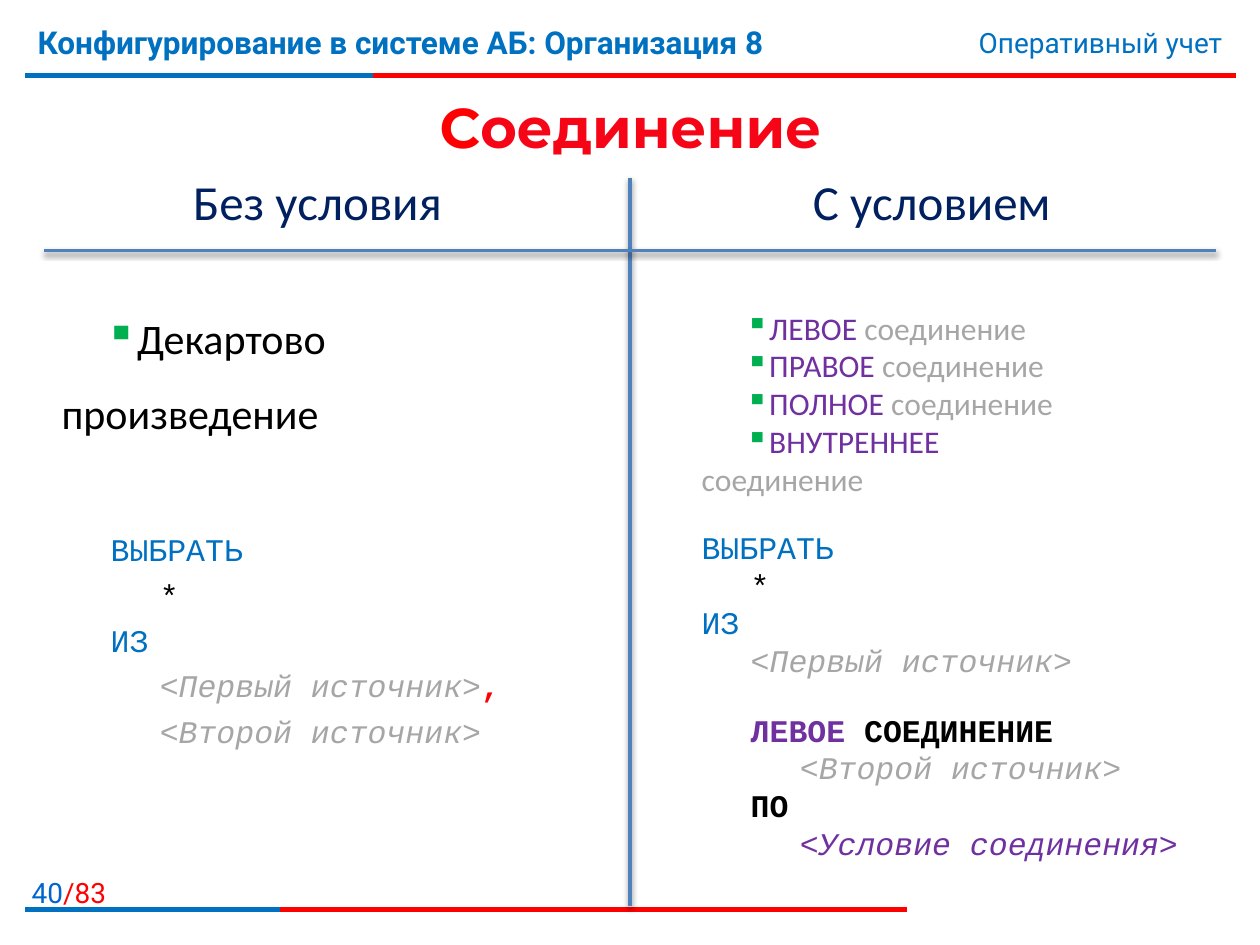
from lxml import etree
from pptx import Presentation
from pptx.dml.color import RGBColor
from pptx.enum.shapes import MSO_CONNECTOR
from pptx.enum.text import MSO_ANCHOR, MSO_AUTO_SIZE, PP_ALIGN
from pptx.oxml.ns import qn
from pptx.util import Inches, Pt

STRAIGHT = MSO_CONNECTOR.STRAIGHT
MIDDLE = MSO_ANCHOR.MIDDLE
GROW, FIXED = MSO_AUTO_SIZE.SHAPE_TO_FIT_TEXT, MSO_AUTO_SIZE.NONE
LEFT, CENTER, RIGHT = PP_ALIGN.LEFT, PP_ALIGN.CENTER, PP_ALIGN.RIGHT
TITLE_ONLY = 5

THEME = {
    "blue": "0070C0", "page": "0066CC", "red": "FF0000", "title": "F50516",
    "navy": "002060", "purple": "7030A0", "gray": "A6A6A6", "black": "000000",
    "green": "00B050", "divider": "4F81BD",
    "brand": ("Roboto", 18), "small": ("Roboto", 16), "heading": ("Montserrat", 32),
    "column": ("Calibri", 28), "list": ("Calibri", 18), "lead": ("Calibri", 24),
    "code": ("Courier New", 18),
}
CODE_STEP = 0.39
BULLET_INDENT = 0.35

TITLE = [{"runs": [("С", "red", "b"), ("оединение", "title", "b")]}]
JOIN_TYPES = ["ЛЕВОЕ", "ПРАВОЕ", "ПОЛНОЕ", "ВНУТРЕННЕЕ"]
CROSS_JOIN = [
    (0, [("ВЫБРАТЬ", "blue", "")]),
    (1, [("*", "black", "")]),
    (0, [("ИЗ", "blue", "")]),
    (1, [("<Первый источник>", "gray", "i"), (",", "red", "b")]),
    (1, [("<Второй источник>", "gray", "i")]),
]
LEFT_JOIN = [
    (0, [("ВЫБРАТЬ", "blue", "")]),
    (1, [("*", "black", "")]),
    (0, [("ИЗ", "blue", "")]),
    (1, [("<Первый источник>", "gray", "i")]),
    (1, [("ЛЕВОЕ", "purple", "b"), (" СОЕДИНЕНИЕ", "black", "b")], 18),
    (2, [("<Второй источник>", "gray", "i")]),
    (1, [("ПО", "black", "b")]),
    (2, [("<Условие соединения>", "purple", "i")]),
]


def line_of(text, color, style=""):
    return [{"runs": [(text, color, style)]}]


def code(rows, spacing=1.0):
    return [{"runs": runs, "left": level * CODE_STEP, "spacing": spacing,
             "before": before[0] if before else 0}
            for level, runs, *before in rows]


JOIN_LIST = [{"runs": [(f"{name} ", "purple", ""), ("соединение", "gray", "")],
              "bullet": True} for name in JOIN_TYPES]
PRODUCT = [{"runs": [("Декартово произведение", "black", "")],
            "bullet": True, "spacing": 1.5}]

TEXTS = [
    ((-0.1, 6.9, 1.04, 0.32), "small", RIGHT, FIXED, True,
     [{"runs": [("40", "page", ""), ("/83", "red", "")]}]),
    ((0.2, 0.13, 7.4, 0.62), "brand", LEFT, FIXED, True,
     line_of("Конфигурирование в системе АБ: Организация 8", "blue", "b")),
    ((5.94, 0.15, 3.86, 0.37), "small", RIGHT, GROW, True,
     line_of("Оперативный учет", "blue")),
    ((1.42, 1.31, 2.2, 0.57), "column", CENTER, GROW, False,
     line_of("Без условия", "navy")),
    ((6.34, 1.31, 2.11, 0.57), "column", CENTER, GROW, False,
     line_of("С условием", "navy")),
    ((5.47, 2.4, 3.28, 1.31), "list", LEFT, GROW, False, JOIN_LIST),
    ((0.39, 2.23, 4.21, 0.64), "lead", LEFT, GROW, False, PRODUCT),
    ((0.78, 4.1, 3.67, 1.9), "code", LEFT, GROW, True, code(CROSS_JOIN, 1.2)),
    ((5.47, 4.14, 4.06, 2.78), "code", LEFT, GROW, True, code(LEFT_JOIN)),
]
LINES = [
    ((0.2, 0.6, 9.81, 0.6), "red", 3, False),
    ((0.2, 0.6, 2.96, 0.6), "blue", 3, False),
    ((0.2, 7.22, 7.2, 7.22), "red", 3, False),
    ((0.2, 7.22, 2.22, 7.22), "blue", 3, False),
    ((5, 1.41, 5, 7.19), "divider", 2, True),
    ((0.35, 1.99, 9.65, 1.99), "divider", 2, True),
]


def apply_format(target, values):
    for name, value in values.items():
        setattr(target, name, value)


def child(parent, tag, **attributes):
    return etree.SubElement(parent, qn(tag), **attributes)


def write(frame, paragraphs, type_style, alignment):
    font_name, size = THEME[type_style]
    for index, content in enumerate(paragraphs):
        paragraph = frame.paragraphs[0] if index == 0 else frame.add_paragraph()
        bullet = content.get("bullet", False)
        properties = paragraph._p.get_or_add_pPr()
        properties.set("marL", str(Inches(content.get("left", 0))))
        properties.set("indent", str(Inches(BULLET_INDENT if bullet else 0)))
        if bullet:
            child(child(properties, "a:buClr"), "a:srgbClr", val=THEME["green"])
            child(properties, "a:buChar", char="▪")
        apply_format(paragraph, {
            "alignment": alignment,
            "line_spacing": content.get("spacing", 1.0),
            "space_before": Pt(content.get("before", 0)),
        })
        for text, color, style in content["runs"]:
            run = paragraph.add_run()
            run.text = text
            apply_format(run.font, {"name": font_name, "size": Pt(size),
                                    "bold": "b" in style, "italic": "i" in style})
            run.font.color.rgb = RGBColor.from_string(THEME[color])


def add_text(slide, box, type_style, alignment, auto_size, wrap, paragraphs):
    frame = slide.shapes.add_textbox(*map(Inches, box)).text_frame
    apply_format(frame, {"word_wrap": wrap, "auto_size": auto_size})
    write(frame, paragraphs, type_style, alignment)


def add_line(slide, ends, color, width, shadow):
    connector = slide.shapes.add_connector(STRAIGHT, *map(Inches, ends))
    connector.line.color.rgb = RGBColor.from_string(THEME[color])
    connector.line.width = Pt(width)
    effects = child(connector._element.spPr, "a:effectLst")
    if shadow:
        outer = child(effects, "a:outerShdw", blurRad=str(Pt(3.1)),
                      dist=str(Pt(1.6)), dir="5400000", rotWithShape="0")
        shade = child(outer, "a:srgbClr", val=THEME["black"])
        child(shade, "a:alpha", val="38000")


def add_title(slide):
    title = slide.shapes.title
    box = dict(zip(("left", "top", "width", "height"),
                   map(Inches, (0.2, 0.59, 9.61, 0.82))))
    apply_format(title, box)
    apply_format(title.text_frame, {"vertical_anchor": MIDDLE, "word_wrap": True,
                                    "auto_size": FIXED})
    write(title.text_frame, TITLE, "heading", CENTER)


def main():
    presentation = Presentation()
    apply_format(presentation, {"slide_width": Inches(10), "slide_height": Inches(7.5)})
    slide = presentation.slides.add_slide(presentation.slide_layouts[TITLE_ONLY])
    for line in LINES:
        add_line(slide, *line)
    add_title(slide)
    for text in TEXTS:
        add_text(slide, *text)
    presentation.save("out.pptx")


if __name__ == "__main__":
    main()
